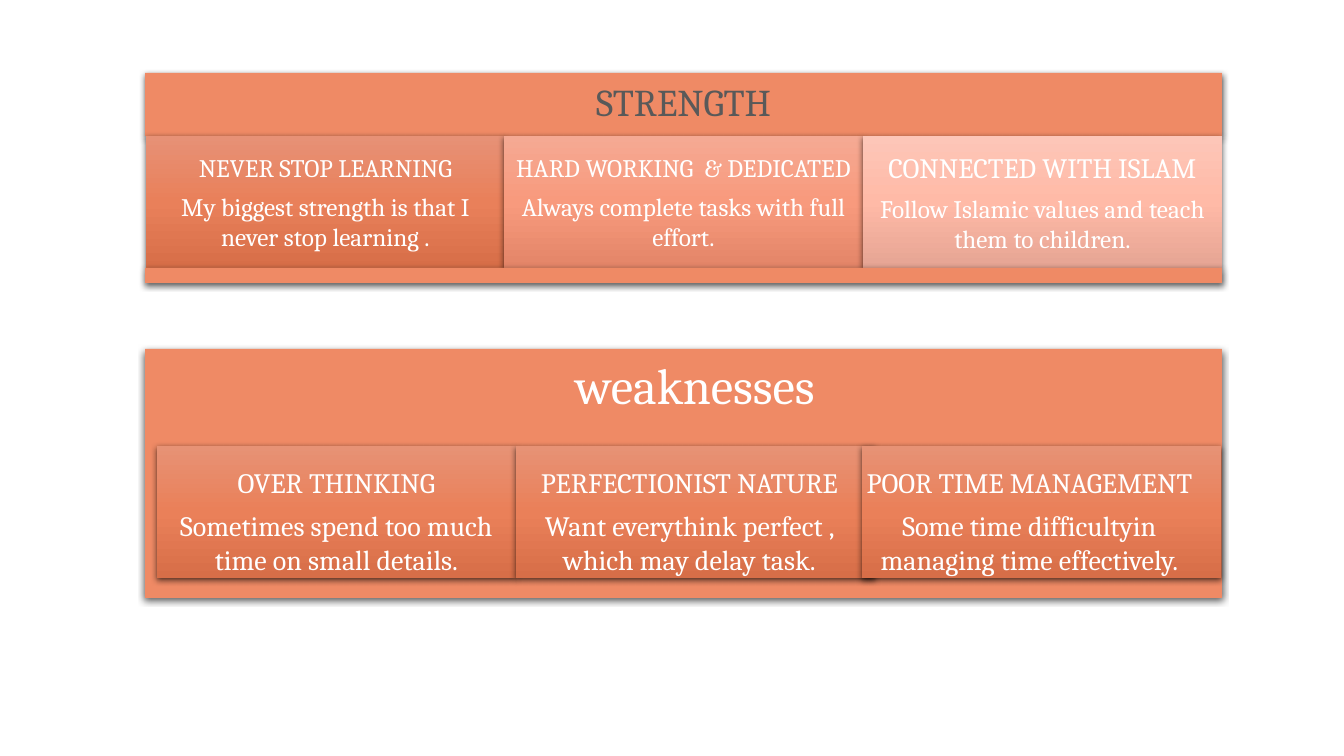
import pptx
import pptx.util
import pptx.dml.color
import pptx.enum.shapes
import pptx.enum.text
import pptx.oxml
import pptx.oxml.ns

SCALE = 914400 / 100.8
FONT = "Cambria"
COLORS = {"panel": "EF8A65", "title": "595959", "white": "FFFFFF"}
GRADIENTS = {
    "deep": ("E79176", "E9805A", "D76E48"),
    "middle": ("F5A993", "F89A7D", "E38568"),
    "pale": ("FDC6B8", "FFBAA7", "E5A493"),
    "weakness": ("E79275", "EA8059", "D76E48"),
}
PANEL_LEFT, PANEL_WIDTH = 145, 1077
CARD_WIDTH, CARD_HEIGHT = 359, 132
STRENGTHS = [
    (146, "deep", "NEVER STOP LEARNING",
     "My biggest strength is that I never stop learning .", 18, 7),
    (504, "middle", "HARD WORKING  & DEDICATED",
     "Always complete tasks with full effort.", 18, 7),
    (863, "pale", "CONNECTED WITH ISLAM",
     "Follow Islamic values and teach them to children.", 20, 8),
]
WEAKNESSES = [
    (157, 0, "OVER THINKING",
     "Sometimes spend too much time on small details."),
    (516, -6, "PERFECTIONIST NATURE",
     "Want everythink perfect , which may delay task."),
    (862, -12, "POOR TIME MANAGEMENT",
     "Some time difficultyin managing time effectively."),
]


def px(length):
    """Turn a length in px into EMU."""
    return pptx.util.Emu(round(length * SCALE))


def parse_drawing(markup):
    """Parse one DrawingML element, adding its namespace."""
    namespace = pptx.oxml.ns.nsdecls("a")
    return pptx.oxml.parse_xml(markup.replace(">", f" {namespace}>", 1))


def add_shadow(shape):
    """Give a shape a soft shadow just below it."""
    shape.shadow.inherit = False
    effects = shape._element.spPr.find(pptx.oxml.ns.qn("a:effectLst"))
    effects.append(parse_drawing(
        '<a:outerShdw blurRad="57150" dist="19050" dir="5400000" '
        'algn="ctr" rotWithShape="0"><a:srgbClr val="000000">'
        '<a:alpha val="63000"/></a:srgbClr></a:outerShdw>'))


def set_gradient(shape, name):
    """Fill a shape from top to bottom with a three-stop gradient."""
    shape.fill.gradient()
    shape.fill.gradient_angle = 270
    stops = shape._element.spPr.find(
        pptx.oxml.ns.qn("a:gradFill")).find(pptx.oxml.ns.qn("a:gsLst"))
    for stop in list(stops):
        stops.remove(stop)
    for index, color in enumerate(GRADIENTS[name]):
        stops.append(parse_drawing(
            f'<a:gs pos="{index * 50000}"><a:srgbClr val="{color}"/></a:gs>'))


def add_block(page, left, top, width, height, gradient=None):
    """Add a shadowed rectangle, plain or with a gradient."""
    block = page.shapes.add_shape(
        pptx.enum.shapes.MSO_SHAPE.RECTANGLE,
        px(left), px(top), px(width), px(height))
    if gradient:
        set_gradient(block, gradient)
    else:
        block.fill.solid()
        block.fill.fore_color.rgb = pptx.dml.color.RGBColor.from_string(
            COLORS["panel"])
    block.line.fill.background()
    add_shadow(block)
    return block


def set_frame(box, inset, anchor):
    """Set the wrap, insets and anchor of a box and return its frame."""
    frame = box.text_frame
    frame.word_wrap = True
    frame.vertical_anchor = anchor
    frame.margin_left = frame.margin_right = px(inset)
    frame.margin_top = frame.margin_bottom = px(inset)
    return frame


def set_para(para, text, size, color="white", spacing=1.0, after=0.35):
    """Write one centred paragraph."""
    para.text = text
    para.alignment = pptx.enum.text.PP_ALIGN.CENTER
    para.line_spacing = spacing
    para.space_after = pptx.util.Pt(round(size * after, 2))
    para.font.name = FONT
    para.font.size = pptx.util.Pt(size)
    para.font.color.rgb = pptx.dml.color.RGBColor.from_string(COLORS[color])


def add_label(page, left, top, width, height, inset):
    """Add a text box centred vertically and return its frame."""
    box = page.shapes.add_textbox(px(left), px(top), px(width), px(height))
    return set_frame(box, inset, pptx.enum.text.MSO_ANCHOR.MIDDLE)


def add_card(page, left, top, gradient, heading, body, sizes, inset,
             shift=0, spacing=1.0):
    """Add a gradient card with a heading and a body."""
    add_block(page, left, top, CARD_WIDTH, CARD_HEIGHT, gradient)
    frame = add_label(page, left + shift, top, CARD_WIDTH, CARD_HEIGHT, inset)
    set_para(frame.paragraphs[0], heading, sizes[0], spacing=spacing)
    set_para(frame.add_paragraph(), body, sizes[1])


def add_strengths(page):
    """Add the strength panel with its three cards."""
    header = (PANEL_LEFT, 73, PANEL_WIDTH, 63)
    add_block(page, *header)
    frame = add_label(page, *header, 11)
    set_para(frame.paragraphs[0], "STRENGTH", 27, "title", 0.9)
    for left, gradient, heading, body, size, inset in STRENGTHS:
        add_card(page, left, 136, gradient, heading, body, (size, 18), inset)
    add_block(page, PANEL_LEFT, 268, PANEL_WIDTH, 15)


def add_weaknesses(page):
    """Add the weakness panel with its three cards."""
    panel = add_block(page, PANEL_LEFT, 349, PANEL_WIDTH, 249)
    frame = set_frame(panel, 5, pptx.enum.text.MSO_ANCHOR.TOP)
    frame.margin_left = px(28)
    set_para(frame.paragraphs[0], "weaknesses", 36, after=0)
    for left, shift, heading, body in WEAKNESSES:
        add_card(page, left, 446, "weakness", heading, body, (20, 20), 8,
                 shift, 1.5)


def main():
    """Build and save the slide."""
    deck = pptx.Presentation()
    deck.slide_width, deck.slide_height = px(1344), px(756)
    page = deck.slides.add_slide(deck.slide_layouts[6])
    add_strengths(page)
    add_weaknesses(page)
    deck.save("out.pptx")


if __name__ == "__main__":
    main()
